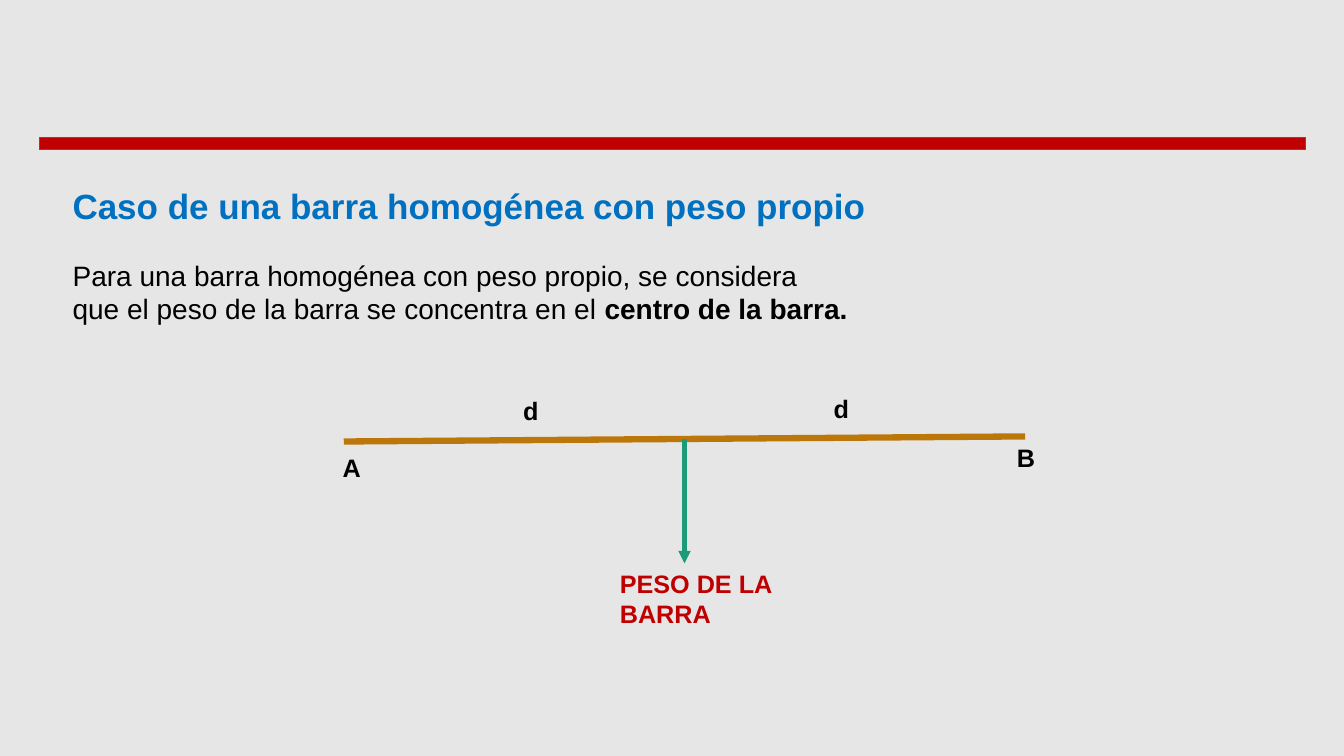
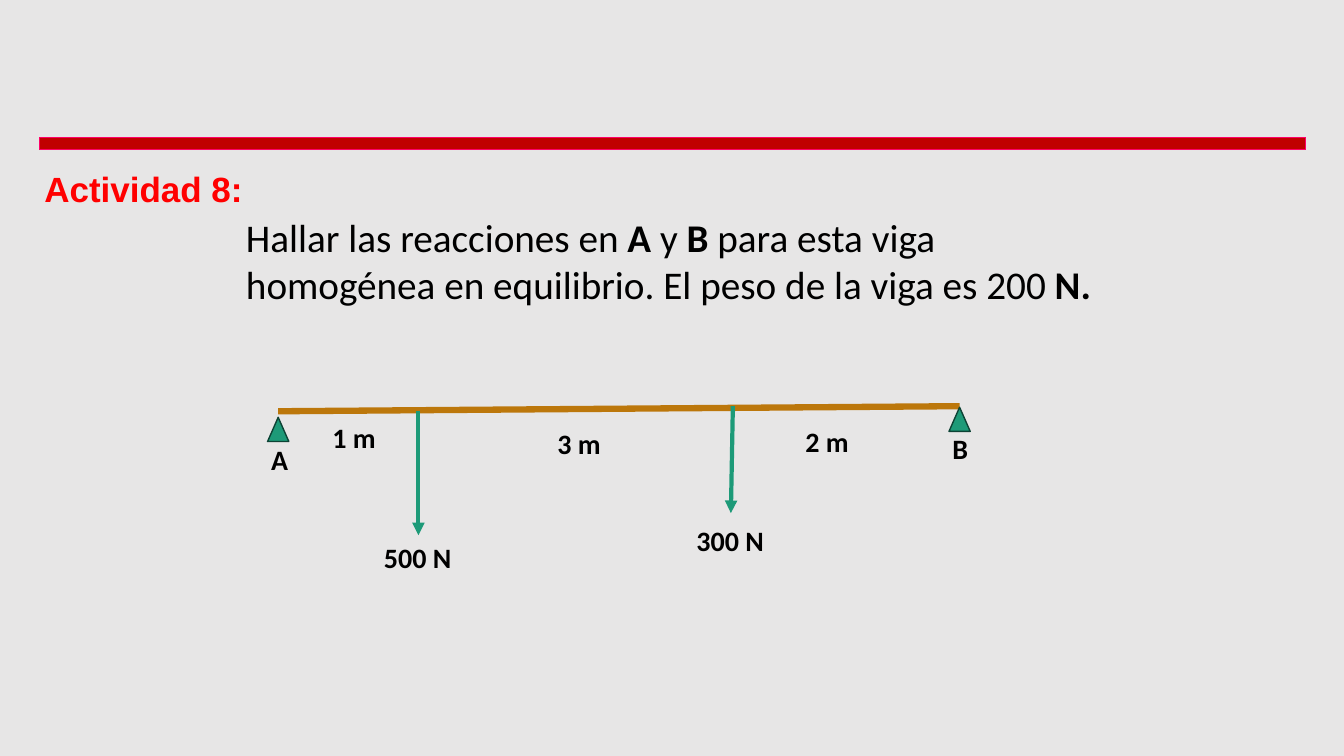
"""Build two slides about a homogeneous bar and its own weight."""
import lxml.etree
import pptx
import pptx.dml.color
import pptx.enum.dml
import pptx.enum.shapes
import pptx.enum.text
import pptx.oxml.ns
import pptx.util

qn = pptx.oxml.ns.qn
SHAPE = pptx.enum.shapes.MSO_SHAPE
ALIGN = pptx.enum.text.PP_ALIGN
STRAIGHT = pptx.enum.shapes.MSO_CONNECTOR.STRAIGHT

BLACK, RED, GREEN, BROWN = "000000", "C00000", "1D9A78", "BC770B"
BEAM_LENGTH, BEAM_RISE = 50.7, 0.67
SUPPORT_W, SUPPORT_H = 1.58, 3.2

prs = pptx.Presentation()
prs.slide_width = pptx.util.Inches(13.33)
prs.slide_height = pptx.util.Inches(7.5)
COL, ROW = prs.slide_width / 100, prs.slide_height / 100


def rgb(value):
    """Turn a hex string into a colour."""
    return pptx.dml.color.RGBColor.from_string(value)


def write(sp, box, text, color, font, paragraph):
    """Place a text shape on the grid and fill it; bold parts stand between bars."""
    for name, value, unit in zip(("left", "top", "width", "height"), box, (COL, ROW) * 2):
        setattr(sp, name, int(value * unit))
    tf = sp.text_frame
    frame = {"word_wrap": True, "auto_size": pptx.enum.text.MSO_AUTO_SIZE.NONE,
             "vertical_anchor": pptx.enum.text.MSO_ANCHOR.TOP}
    for name, value in frame.items():
        setattr(tf, name, value)
    p = tf.paragraphs[0]
    for name, value in {"space_before": pptx.util.Pt(0), "alignment": ALIGN.LEFT, **paragraph}.items():
        setattr(p, name, value)
    if sp.is_placeholder:
        pPr = p._p.get_or_add_pPr()
        pPr.set("marL", "0")
        pPr.set("indent", "0")
        lxml.etree.SubElement(pPr, qn("a:buNone"))
    for i, part in enumerate(text.split("|")):
        if part:
            r = p.add_run()
            r.text = part
            r.font.color.rgb = rgb(color)
            for name, value in {"bold": i % 2 == 1, **font}.items():
                setattr(r.font, name, value)


title_font = {"name": "Arial", "size": pptx.util.Pt(25), "bold": True}
arial_label = {"name": "Arial", "size": pptx.util.Pt(18), "bold": True}
calibri_label = {"name": "Calibri", "size": pptx.util.Pt(20), "bold": True}

pages = [
    {
        "title": ((4.65, 23.73, 61.28, 6.93), "Caso de una barra homogénea con peso propio",
                  "0070C0", title_font, {"alignment": ALIGN.JUSTIFY}),
        "body": ((4.65, 33.47, 59.4, 10.27),
                 "Para una barra homogénea con peso propio, se considera que el peso "
                 "de la barra se concentra en el |centro de la barra.|",
                 BLACK, {"name": "Arial", "size": pptx.util.Pt(20)}, {}),
        "beam": (25.58, 58.4),
        "forces": [(50.93, 58.13, 50.93, 74.53)],
        "supports": [],
        "label_style": (arial_label, {}),
        "labels": [
            ("PESO DE LA BARRA", RED, (45.38, 74.53, 13.2, 9.47)),
            ("A", BLACK, (24.75, 59.2, 2.78, 5.33)),
            ("B", BLACK, (74.93, 57.87, 2.78, 5.33)),
            ("d", BLACK, (38.18, 51.6, 2.78, 5.33)),
            ("d", BLACK, (61.28, 51.33, 2.78, 5.33)),
        ],
    },
    {
        "title": ((2.55, 19.33, 16.73, 8.27), "Actividad 8:", "FF0000", title_font,
                  {"alignment": ALIGN.JUSTIFY, "line_spacing": 1.4}),
        "body": ((17.55, 27.6, 65.25, 13.87),
                 "Hallar las reacciones en |A| y |B| para esta viga homogénea en "
                 "equilibrio. El peso de la viga es 200| N.|",
                 BLACK, {"name": "Calibri", "size": pptx.util.Pt(28)}, {}),
        "beam": (20.7, 54.4),
        "forces": [(31.13, 54.4, 31.13, 70.8), (54.53, 53.73, 54.38, 67.87)],
        "supports": [(20.7, 55.2), (71.4, 53.87)],
        "label_style": (calibri_label, {"line_spacing": 1.07, "space_after": pptx.util.Pt(8)}),
        "labels": [
            ("A", BLACK, (19.43, 57.6, 2.48, 4.53)),
            ("B", BLACK, (70.13, 56.13, 2.48, 4.53)),
            ("500 N", BLACK, (27.83, 70.53, 6.68, 4.53)),
            ("300 N", BLACK, (51.08, 68.27, 6.68, 4.53)),
            ("1 m", BLACK, (24, 54.67, 4.95, 4.53)),
            ("3 m", BLACK, (40.73, 55.47, 4.95, 4.53)),
            ("2 m", BLACK, (59.18, 55.2, 4.95, 4.53)),
        ],
    },
]

for page in pages:
    s = prs.slides.add_slide(prs.slide_layouts[1])
    write(s.shapes.title, *page["title"])
    write(s.placeholders[1], *page["body"])

    x, y = page["beam"]
    lines = [((x, y, x + BEAM_LENGTH, y - BEAM_RISE), BROWN, 4.5, False)]
    lines += [(ends, GREEN, 3, True) for ends in page["forces"]]
    for (x1, y1, x2, y2), color, width, arrow in lines:
        sp = s.shapes.add_connector(STRAIGHT, int(x1 * COL), int(y1 * ROW), int(x2 * COL), int(y2 * ROW))
        sp.line.color.rgb = rgb(color)
        sp.line.width = pptx.util.Pt(width)
        if arrow:
            lxml.etree.SubElement(sp.line._get_or_add_ln(), qn("a:tailEnd"), type="triangle")
        lxml.etree.SubElement(sp._element.spPr, qn("a:effectLst"))

    for apex_x, apex_y in page["supports"]:
        sp = s.shapes.add_shape(SHAPE.ISOSCELES_TRIANGLE, int((apex_x - SUPPORT_W / 2) * COL),
                                int(apex_y * ROW), int(SUPPORT_W * COL), int(SUPPORT_H * ROW))
        sp.shadow.inherit = False
        sp.fill.solid()
        sp.fill.fore_color.rgb = rgb(GREEN)
        sp.line.color.rgb = rgb("0D4335")
        sp.line.width = pptx.util.Pt(1)

    for text, color, box in page["labels"]:
        write(s.shapes.add_textbox(0, 0, 0, 0), box, text, color, *page["label_style"])

master = prs.slide_master
master.background.fill.solid()
master.background.fill.fore_color.rgb = rgb("E7E6E6")
band = s.shapes.add_shape(SHAPE.RECTANGLE, int(2.93 * COL), int(18.13 * ROW), int(94.2 * COL), int(1.6 * ROW))
band.shadow.inherit = False
band.fill.solid()
band.fill.fore_color.rgb = rgb(RED)
band.line.color.rgb = rgb("FF0066")
band.line.width = pptx.util.Pt(0.25)
band.line.dash_style = pptx.enum.dml.MSO_LINE.ROUND_DOT
master.shapes._spTree.insert(2, band._element)

prs.save("out.pptx")
